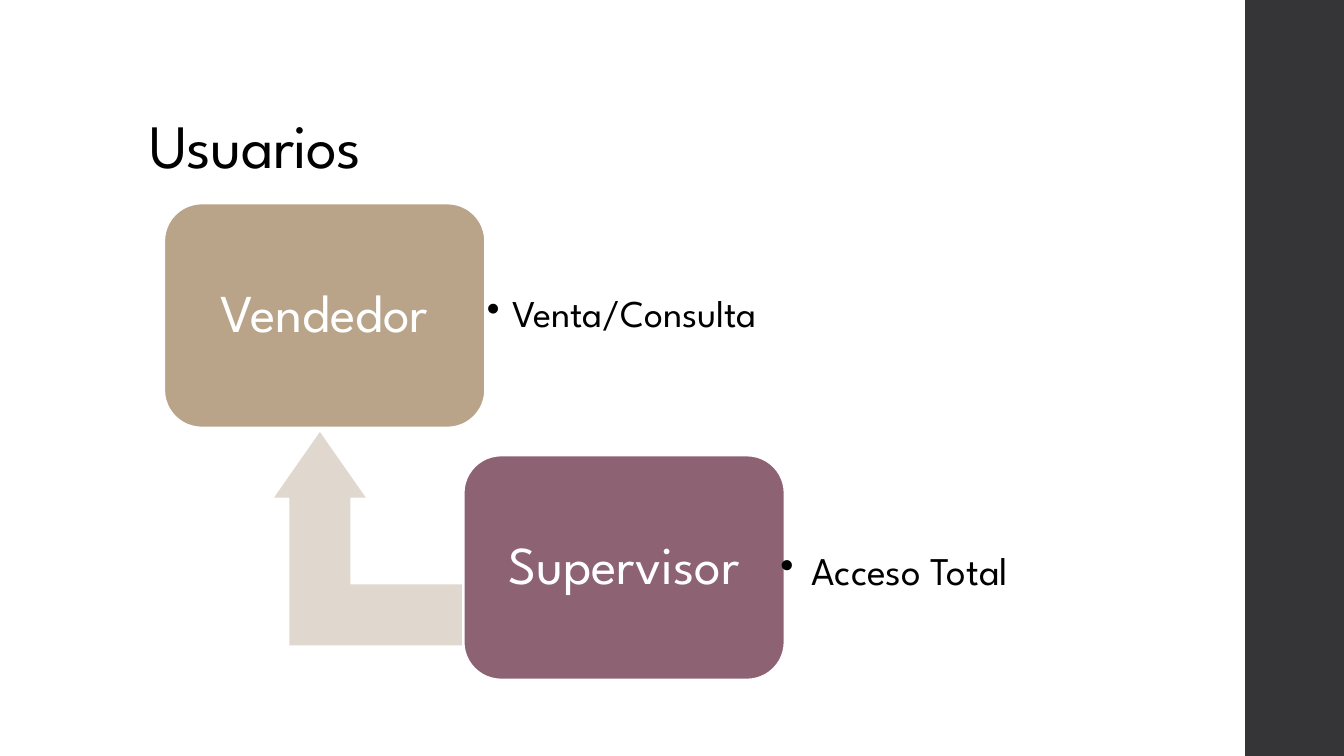
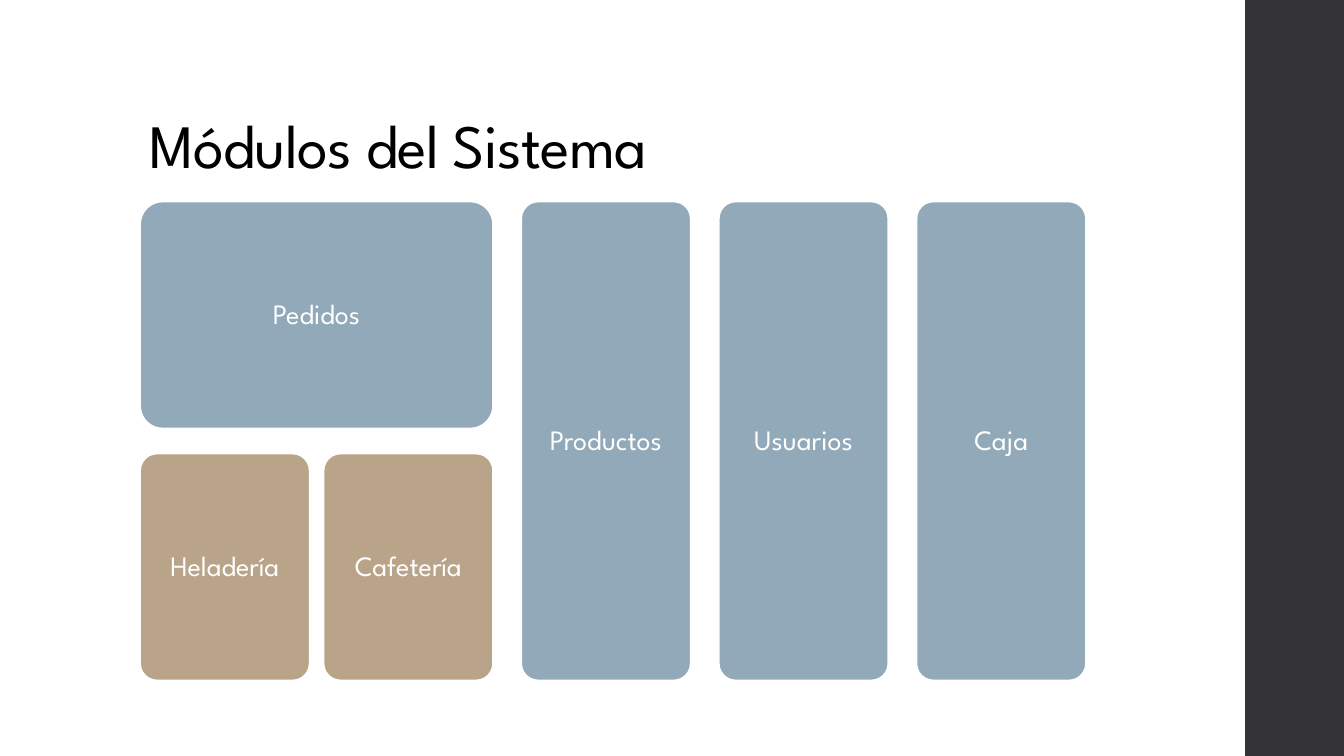
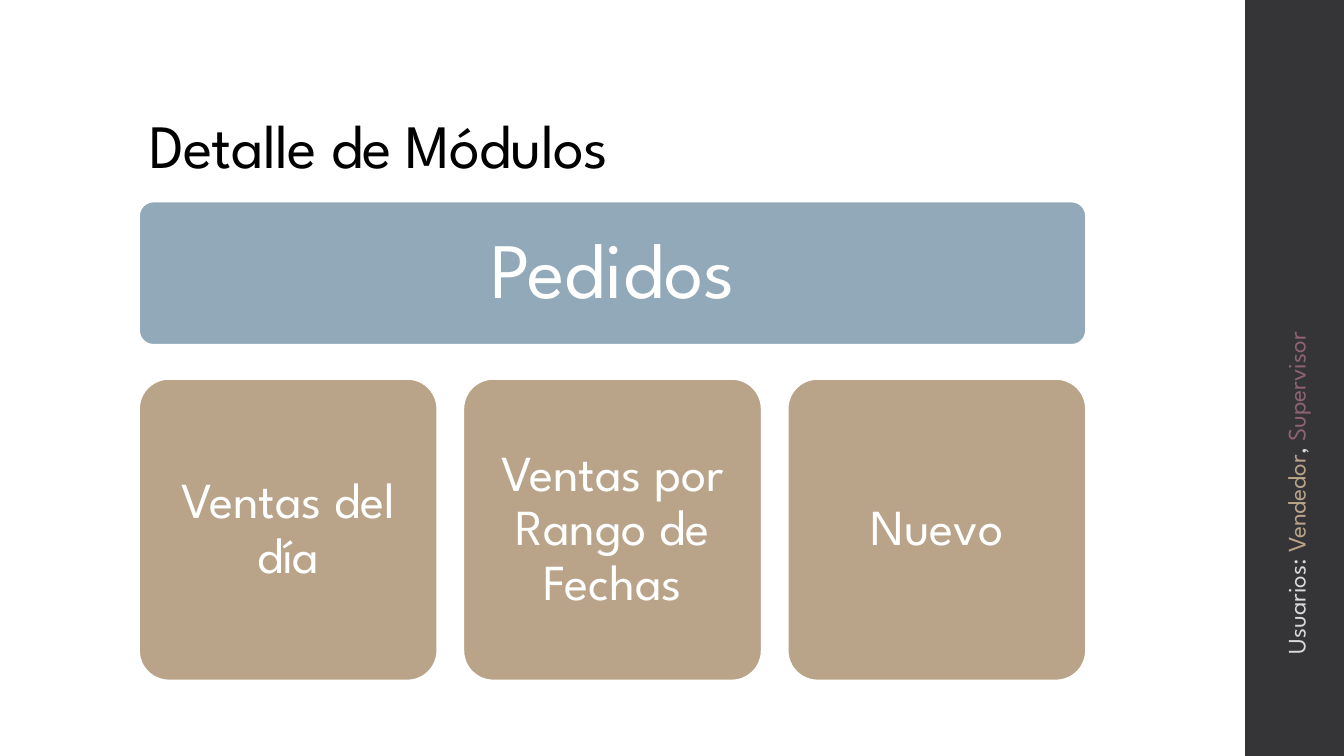
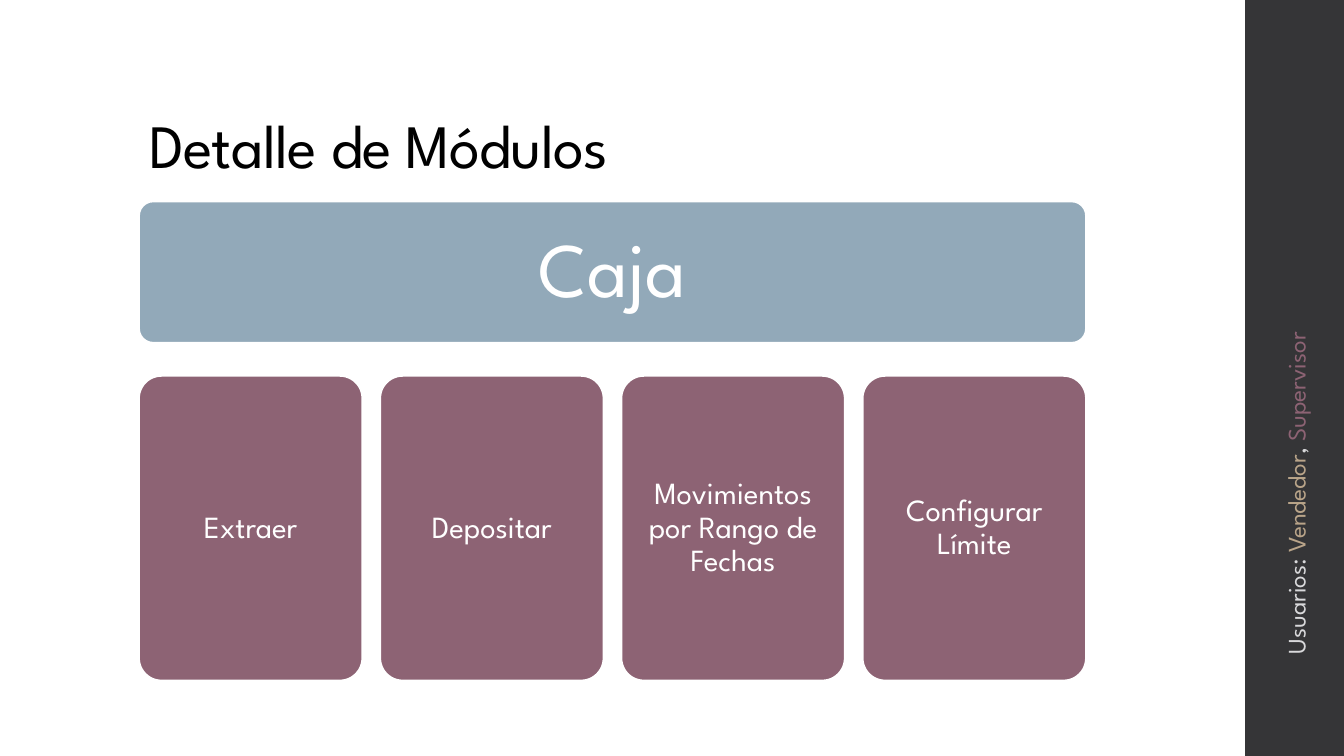
"""Build four slides on the users and modules of a sales system."""
from lxml.etree import SubElement
from pptx import Presentation
from pptx.dml.color import RGBColor
from pptx.enum.shapes import MSO_SHAPE as Preset
from pptx.enum.text import MSO_ANCHOR as Anchor, MSO_AUTO_SIZE as AutoSize, PP_ALIGN as Align
from pptx.oxml.ns import qn
from pptx.util import Inches, Pt

COLORS = {
    "band": "353537", "black": "000000", "white": "FFFFFF", "note": "D9D9DB",
    "arrow": "E0D8CF", "module": "92A9B9", "seller": "B9A489", "supervisor": "8D6374",
}
FONT = "League Spartan"
LEFT, TOP, BOTTOM, WIDTH = 1.38, 2, 6.75, 9.39

USERS = [
    {"name": "Vendedor", "color": "seller", "at": (1.63, 2.02),
     "access": "Venta/Consulta", "access_at": (4.68, 2.23, 3.68, 1.8), "size": 27, "indent": 0.25},
    {"name": "Supervisor", "color": "supervisor", "at": (4.6, 4.52),
     "access": "Acceso Total", "access_at": (7.59, 4.78, 3.19, 1.8), "size": 28, "indent": 0.31},
]
MODULES = [
    ("Pedidos", ["Heladería", "Cafetería"]),
    ("Productos", []),
    ("Usuarios", []),
    ("Caja", []),
]
DETAILS = [
    {"module": "Pedidos", "size": 56, "bar_height": 1.42, "cards_top": 3.76,
     "cards": ["Ventas del día", "Ventas por Rango de Fechas", "Nuevo"],
     "color": "seller", "card_size": 36, "gap": 0.26, "margin": 0.23},
    {"module": "Caja", "size": 55, "bar_height": 1.4, "cards_top": 3.73,
     "cards": ["Extraer", "Depositar", "Movimientos por Rango de Fechas", "Configurar Límite"],
     "color": "supervisor", "card_size": 22, "gap": 0.18, "margin": 0.16},
]
ACCESS_NOTE = [("Usuarios: ", "note"), ("Vendedor", "seller"), (", ", "note"),
               ("Supervisor", "supervisor")]


def rgb(name):
    return RGBColor.from_string(COLORS[name])


def add_run(paragraph, text, size, color):
    run = paragraph.add_run()
    run.text = text
    run.font.name = FONT
    run.font.size = Pt(size)
    run.font.color.rgb = rgb(color)
    return run


def set_margins(frame, margin):
    frame.margin_left = frame.margin_right = Inches(margin)
    frame.margin_top = frame.margin_bottom = Inches(margin)


def add_preset(slide, preset, at, color, adjustments=(), outlined=True):
    shape = slide.shapes.add_shape(preset, *map(Inches, at))
    shape.shadow.inherit = False
    shape.fill.solid()
    shape.fill.fore_color.rgb = rgb(color)
    if outlined:
        shape.line.color.rgb = rgb("white")
        shape.line.width = Pt(1.1)
    else:
        shape.line.fill.background()
    for index, value in enumerate(adjustments):
        shape.adjustments[index] = value
    return shape


def add_card(slide, at, text, color, size, margin, corner=0.1):
    card = add_preset(slide, Preset.ROUNDED_RECTANGLE, at, color, [corner])
    frame = card.text_frame
    frame.word_wrap = True
    frame.vertical_anchor = Anchor.MIDDLE
    set_margins(frame, margin)
    paragraph = frame.paragraphs[0]
    paragraph.alignment = Align.CENTER
    paragraph.line_spacing = 0.9
    add_run(paragraph, text, size, "white")


def add_text_box(slide, at):
    box = slide.shapes.add_textbox(*map(Inches, at))
    box.text_frame.word_wrap = True
    box.text_frame.vertical_anchor = Anchor.MIDDLE
    return box


def add_bullet(slide, at, text, size, indent):
    frame = add_text_box(slide, at).text_frame
    set_margins(frame, 0.15)
    paragraph = frame.paragraphs[0]
    paragraph.line_spacing = 0.9
    add_run(paragraph, text, size, "black")
    properties = paragraph._p.get_or_add_pPr()
    properties.set("marL", str(Inches(indent)))
    properties.set("indent", str(-Inches(indent)))
    SubElement(properties, qn("a:buChar")).set("char", "•")


def add_access_note(slide):
    box = add_text_box(slide, (10.89, 4.43, 3.92, 0.4))
    box.rotation = 270
    for text, color in ACCESS_NOTE:
        add_run(box.text_frame.paragraphs[0], text, 18, color)


def add_slide(presentation, title_text):
    slide = presentation.slides.add_slide(presentation.slide_layouts[5])
    add_preset(slide, Preset.RECTANGLE, (12.35, 0, 0.98, 7.5), "band", outlined=False)
    title = slide.shapes.title
    title.left, title.top, title.width, title.height = map(Inches, (1.38, 0.4, 10.6, 1.45))
    frame = title.text_frame
    frame.auto_size = AutoSize.NONE
    frame.vertical_anchor = Anchor.BOTTOM
    paragraph = frame.paragraphs[0]
    paragraph.alignment = Align.LEFT
    paragraph.line_spacing = 0.9
    run = add_run(paragraph, title_text, 44, "black")
    run.font._element.set("spc", "-50")
    return slide


def build_users(presentation):
    slide = add_slide(presentation, "Usuarios")
    arrow = add_preset(slide, Preset.BENT_UP_ARROW, (2.7, 4.27, 1.89, 2.14), "arrow",
                       [0.328, 0.25, 0.358])
    arrow.rotation = 180
    arrow.element.spPr.find(qn("a:xfrm")).set("flipV", "1")
    for user in USERS:
        add_card(slide, (*user["at"], 3.18, 2.22), user["name"], user["color"], 38, 0.27, 0.167)
        add_bullet(slide, user["access_at"], user["access"], user["size"], user["indent"])


def build_modules(presentation):
    slide = add_slide(presentation, "Módulos del Sistema")
    card_width, half_height, inner_gap, outer_gap = 1.68, 2.25, 0.14, 0.28
    left = 1.39
    for module, parts in MODULES:
        columns = max(len(parts), 1)
        width = columns * card_width + (columns - 1) * inner_gap
        height = half_height if parts else BOTTOM - TOP
        add_card(slide, (left, TOP, width, height), module, "module", 20, 0.13)
        for index, part in enumerate(parts):
            part_left = left + index * (card_width + inner_gap)
            add_card(slide, (part_left, BOTTOM - half_height, card_width, half_height),
                     part, "seller", 20, 0.13)
        left += width + outer_gap


def build_detail(presentation, detail):
    slide = add_slide(presentation, "Detalle de Módulos")
    add_card(slide, (LEFT, TOP, WIDTH, detail["bar_height"]), detail["module"], "module",
             detail["size"], 0.27)
    cards, gap, top = detail["cards"], detail["gap"], detail["cards_top"]
    width = (WIDTH - gap * (len(cards) - 1)) / len(cards)
    for index, text in enumerate(cards):
        add_card(slide, (LEFT + index * (width + gap), top, width, BOTTOM - top), text,
                 detail["color"], detail["card_size"], detail["margin"])
    add_access_note(slide)


def main():
    presentation = Presentation()
    presentation.slide_width = Inches(13.33)
    presentation.slide_height = Inches(7.5)
    build_users(presentation)
    build_modules(presentation)
    for detail in DETAILS:
        build_detail(presentation, detail)
    presentation.save("out.pptx")


if __name__ == "__main__":
    main()
